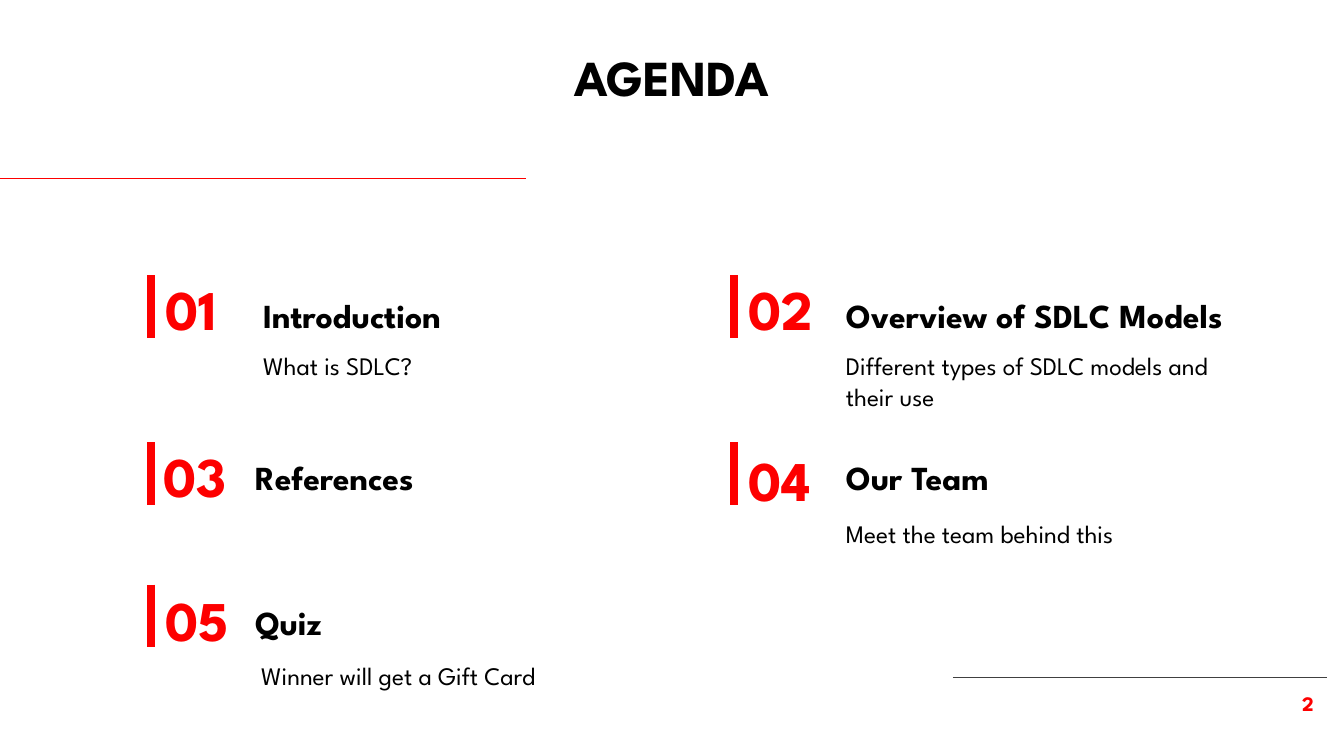
"""Build the agenda slide with five numbered topics."""
from pptx import Presentation
from pptx.dml.color import RGBColor
from pptx.enum.shapes import MSO_CONNECTOR
from pptx.enum.text import MSO_ANCHOR, MSO_AUTO_SIZE, PP_ALIGN
from pptx.oxml.ns import qn
from pptx.util import Inches, Pt
from lxml import etree

STRAIGHT = MSO_CONNECTOR.STRAIGHT
TOP, BOTTOM = MSO_ANCHOR.TOP, MSO_ANCHOR.BOTTOM
LEFT, CENTER, RIGHT = PP_ALIGN.LEFT, PP_ALIGN.CENTER, PP_ALIGN.RIGHT
NO_AUTOFIT = MSO_AUTO_SIZE.NONE
FONT = "League Spartan"
COLORS = {"red": "FD0000", "black": "000000", "gray": "404040"}


def write(sp, text, size, color="black", bold=True, align=LEFT, anchor=TOP, inset=0.13):
    tf = sp.text_frame
    tf.word_wrap = True
    tf.auto_size = NO_AUTOFIT
    tf.vertical_anchor = anchor
    tf.margin_left = Inches(inset)
    tf.margin_top = tf.margin_right = tf.margin_bottom = Inches(0.13)
    p = tf.paragraphs[0]
    p.alignment = align
    p.line_spacing = 1.0
    p.space_before = Pt(0)
    r = p.add_run()
    r.text = text
    r.font.name = FONT
    r.font.size = Pt(size)
    r.font.bold = bold
    r.font.color.rgb = RGBColor.from_string(COLORS[color])


def add_line(x1, y1, x2, y2, width, color="red"):
    line = s.shapes.add_connector(STRAIGHT, Inches(x1), Inches(y1), Inches(x2), Inches(y2))
    line.line.width = Pt(width)
    line.line.color.rgb = RGBColor.from_string(COLORS[color])
    etree.SubElement(line._element.spPr, qn("a:effectLst"))


prs = Presentation()
prs.slide_width, prs.slide_height = Inches(13.33), Inches(7.5)
s = prs.slides.add_slide(prs.slide_layouts[5])

add_line(-0.02, 1.77, 5.22, 1.77, 0.75)
add_line(9.45, 6.72, 13.16, 6.72, 0.75, "gray")

title = s.shapes.title
title.left, title.top = Inches(0), Inches(0.33)
title.width, title.height = Inches(13.33), Inches(0.84)
write(title, "AGENDA", 36, align=CENTER)

page = s.shapes.add_textbox(Inches(12.31), Inches(6.72), Inches(0.85), Inches(0.57))
write(page, "2", 14.7, "red", align=RIGHT)

# number, (left, top) of number, heading, (left, top) of heading, note, (left, top) of note, bar
topics = [
    ("01", (1.64, 2.59), "Introduction", (2.48, 2.69), "What is SDLC?", (2.48, 3.35), (1.5, 2.73)),
    ("02", (7.42, 2.59), "Overview of SDLC Models", (8.26, 2.69),
     "Different types of SDLC models and their use", (8.26, 3.35), (7.28, 2.73)),
    ("03", (1.62, 4.25), "References", (2.4, 4.29), None, None, (1.5, 4.39)),
    ("04", (7.42, 4.29), "Our Team", (8.26, 4.29),
     "Meet the team behind this", (8.26, 5.01), (7.28, 4.39)),
    ("05", (1.64, 5.68), "Quiz", (2.4, 5.73),
     "Winner will get a Gift Card", (2.46, 6.42), (1.5, 5.8)),
]
for number, number_at, heading, heading_at, note, note_at, (bar_x, bar_y) in topics:
    add_line(bar_x, bar_y, bar_x, bar_y + 0.62, 6)
    sp = s.shapes.add_textbox(*map(Inches, number_at), Inches(0.84), Inches(0.87))
    write(sp, number, 40, "red", inset=0)
    sp = s.shapes.add_textbox(*map(Inches, heading_at), Inches(4.63), Inches(0.77))
    write(sp, heading, 24, anchor=BOTTOM)
    if note:
        sp = s.shapes.add_textbox(*map(Inches, note_at), Inches(3.95), Inches(0.94))
        write(sp, note, 18, bold=False)

prs.save("out.pptx")
